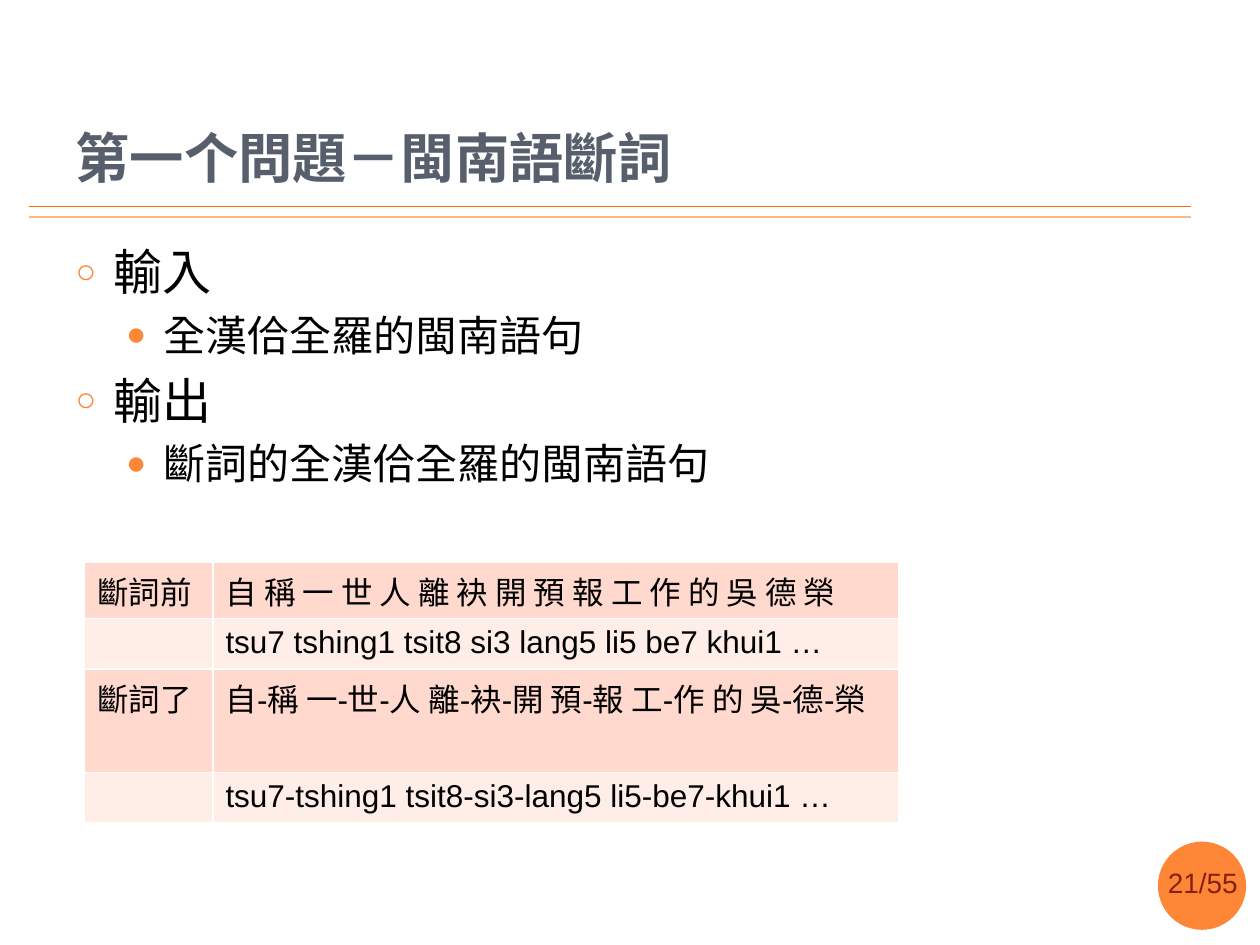
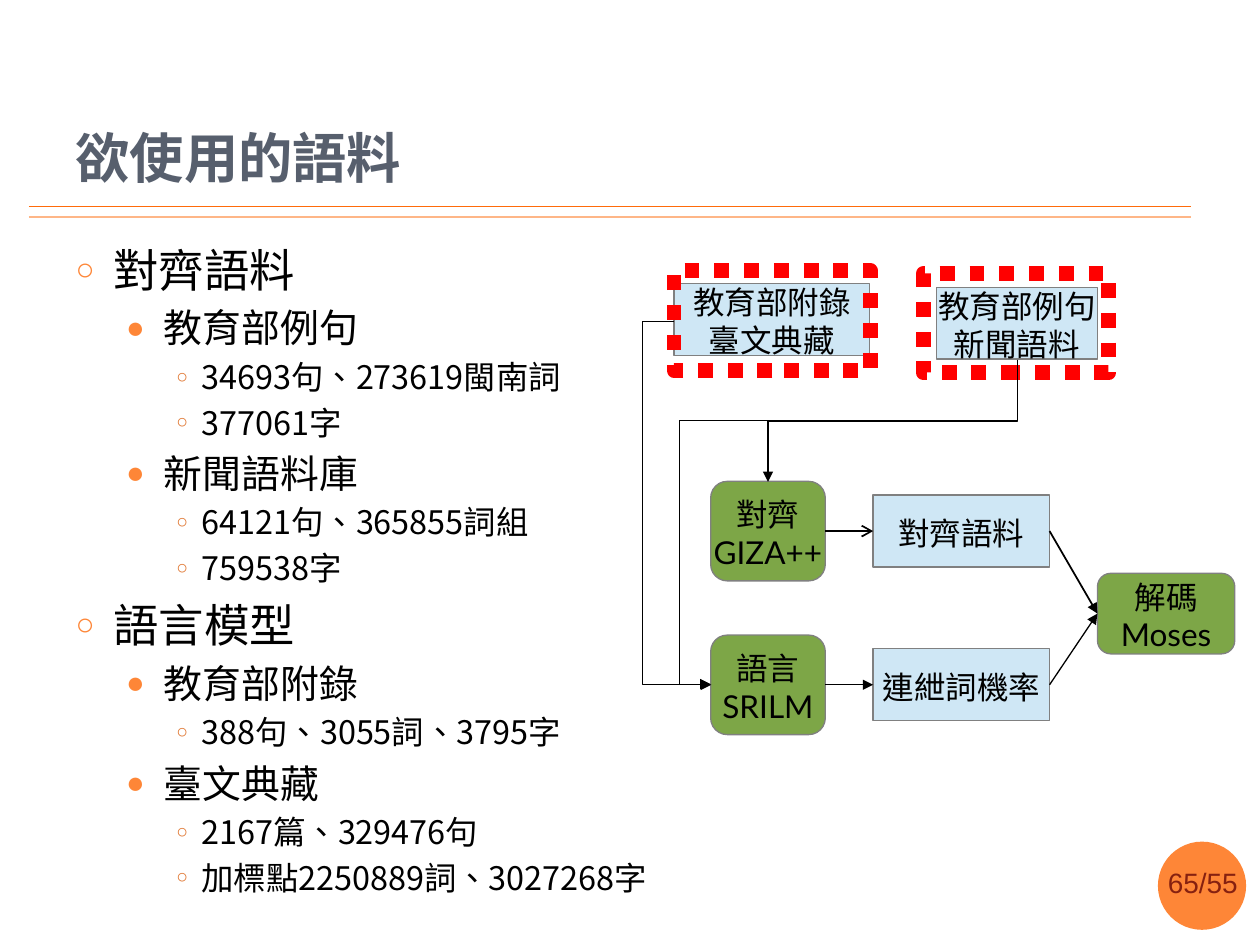
"""Build two slides on Southern Min word segmentation and its corpora."""
from lxml import etree
from pptx import Presentation
from pptx.dml.color import RGBColor
from pptx.enum.dml import MSO_LINE
from pptx.enum.lang import MSO_LANGUAGE_ID
from pptx.enum.shapes import MSO_CONNECTOR, MSO_SHAPE
from pptx.enum.text import MSO_ANCHOR, MSO_AUTO_SIZE, PP_ALIGN
from pptx.oxml.ns import qn
from pptx.util import Inches, Pt

ORANGE = RGBColor(0xFE, 0x86, 0x37)
DEEP_ORANGE = RGBColor(0xFF, 0x6B, 0x0A)
PALE_ORANGE = RGBColor(0xFE, 0xB6, 0x87)
DARK_ORANGE = RGBColor(0xE0, 0x75, 0x2F)
MAROON = RGBColor(0x86, 0x21, 0x10)
SLATE = RGBColor(0x57, 0x5F, 0x6D)
BLACK = RGBColor(0, 0, 0)
GRAY = RGBColor(0x80, 0x80, 0x80)
RED = RGBColor(0xFF, 0, 0)
BLUE = RGBColor(0xCF, 0xE7, 0xF5)
GREEN = RGBColor(0x7D, 0xA6, 0x47)
PINK = RGBColor(0xFF, 0xD9, 0xCE)
PALE_PINK = RGBColor(0xFF, 0xED, 0xE8)
CJK_FONT = "Noto Sans CJK SC"

TITLE_FORMAT = {"name": "Montserrat", "size": Pt(31), "bold": True}
PAGE_FORMAT = {"name": "Arial", "size": Pt(16)}
TABLE_FORMAT = {"name": "Arial", "size": Pt(18)}
BOX_FORMAT = {"name": "Lato", "size": Pt(18)}
BOX_MARGINS = {"margin_left": Inches(0.09), "margin_top": Inches(0.07),
               "margin_right": Inches(0.09), "margin_bottom": Inches(0.04)}
LEVELS = [
    {"size": 28, "left": 0.3, "hanging": 0.3, "bullet": "○", "color": ORANGE, "percent": 70},
    {"size": 24, "left": 0.7, "hanging": 0.3, "bullet": "●", "color": ORANGE, "percent": 80},
    {"size": 20, "left": 1.0, "hanging": 0.2, "bullet": "○", "color": DARK_ORANGE, "percent": 60},
]

PAGES = [
    {"title": "第一个問題－閩南語斷詞", "number": "21/55", "scale": 1, "list": [
        (0, "輸入"), (1, "全漢佮全羅的閩南語句"),
        (0, "輸出"), (1, "斷詞的全漢佮全羅的閩南語句")]},
    {"title": "欲使用的語料", "number": "65/55", "scale": 0.925, "list": [
        (0, "對齊語料"),
        (1, "教育部例句"), (2, "34693句、273619閩南詞"), (2, "377061字"),
        (1, "新聞語料庫"), (2, "64121句、365855詞組"), (2, "759538字"),
        (0, "語言模型"),
        (1, "教育部附錄"), (2, "388句、3055詞、3795字"),
        (1, "臺文典藏"), (2, "2167篇、329476句"),
        (2, "加標點2250889詞、3027268字")]},
]


def write_text(paragraph, text, values, color, east_asian):
    run = paragraph.add_run()
    run.text = text
    for name, value in values.items():
        setattr(run.font, name, value)
    run.font.language_id = MSO_LANGUAGE_ID.TRADITIONAL_CHINESE
    run.font.color.rgb = color
    latin = run.font._element.find(qn("a:latin"))
    latin.addnext(latin.makeelement(qn("a:ea"), {"typeface": east_asian}))


def add_line(slide, kind, points, color, width, arrow=None):
    connector = slide.shapes.add_connector(kind, *(Inches(value) for value in points))
    connector.line.color.rgb = color
    connector.line.width = Pt(width)
    etree.SubElement(connector._element.spPr, qn("a:effectLst"))
    if arrow:
        etree.SubElement(connector.line._get_or_add_ln(), qn("a:tailEnd"), type=arrow)
    return connector


presentation = Presentation()
presentation.slide_width = Inches(10)
presentation.slide_height = Inches(7.5)

slides = []
for page in PAGES:
    slide = presentation.slides.add_slide(presentation.slide_layouts[1])
    slides.append(slide)
    for height, color in ((1.64, DEEP_ORANGE), (1.72, PALE_ORANGE)):
        add_line(slide, MSO_CONNECTOR.STRAIGHT, (0.23, height, 9.45, height), color, 1)

    disc = slide.shapes.add_shape(MSO_SHAPE.OVAL, Inches(9.19), Inches(6.68),
                                  Inches(0.7), Inches(0.7))
    disc.shadow.inherit = False
    disc.fill.solid()
    disc.fill.fore_color.rgb = ORANGE
    disc.line.fill.background()
    number = slide.shapes.add_textbox(Inches(9.17), Inches(6.82), Inches(0.79), Inches(0.37))
    number.text_frame.word_wrap = False
    write_text(number.text_frame.paragraphs[0], page["number"], PAGE_FORMAT, MAROON, CJK_FONT)

    title, body = slide.placeholders
    title.left, title.top, title.width, title.height = map(Inches, (0.5, 0.3, 8.64, 1.25))
    title.text_frame.vertical_anchor = MSO_ANCHOR.BOTTOM
    title.text_frame.auto_size = MSO_AUTO_SIZE.NONE
    paragraph = title.text_frame.paragraphs[0]
    paragraph.alignment = PP_ALIGN.LEFT
    write_text(paragraph, page["title"], TITLE_FORMAT, SLATE, "Montserrat")

    body.left, body.top, body.width, body.height = map(Inches, (0.5, 1.87, 8.17, 5.21))
    frame = body.text_frame
    frame.auto_size = MSO_AUTO_SIZE.NONE
    for index, (level, text) in enumerate(page["list"]):
        style = LEVELS[level]
        size = round(style["size"] * page["scale"], 1)
        paragraph = frame.add_paragraph() if index else frame.paragraphs[0]
        paragraph.level = level
        paragraph.space_before = Pt((0.2 * size if level else 6) if index else 0)
        properties = paragraph._p.get_or_add_pPr()
        properties.set("marL", str(Inches(style["left"])))
        properties.set("indent", str(-Inches(style["hanging"])))
        bullet_color = etree.SubElement(properties, qn("a:buClr"))
        etree.SubElement(bullet_color, qn("a:srgbClr"), val=str(style["color"]))
        etree.SubElement(properties, qn("a:buSzPct"), val=str(style["percent"] * 1000))
        etree.SubElement(properties, qn("a:buChar"), char=style["bullet"])
        write_text(paragraph, text, {"name": CJK_FONT, "size": Pt(size)}, BLACK, CJK_FONT)

segmentation_slide, corpus_slide = slides

ROWS = [
    (0.45, "斷詞前", "自 稱 一 世 人 離 袂 開 預 報 工 作 的 吳 德 榮"),
    (0.39, "", "tsu7 tshing1 tsit8 si3 lang5 li5 be7 khui1 …"),
    (0.82, "斷詞了", "自-稱 一-世-人 離-袂-開 預-報 工-作 的 吳-德-榮"),
    (0.4, "", "tsu7-tshing1 tsit8-si3-lang5 li5-be7-khui1 …"),
]
table = segmentation_slide.shapes.add_table(
    len(ROWS), 2, Inches(0.67), Inches(4.46), Inches(6.46), Inches(2.06)).table
table.first_row = table.horz_banding = False
table.columns[0].width = Inches(1.02)
table.columns[1].width = Inches(5.44)
for row_index, (height, *texts) in enumerate(ROWS):
    table.rows[row_index].height = Inches(height)
    for column_index, text in enumerate(texts):
        cell = table.cell(row_index, column_index)
        cell.fill.solid()
        cell.fill.fore_color.rgb = PALE_PINK if row_index % 2 else PINK
        if text:
            write_text(cell.text_frame.paragraphs[0], text, TABLE_FORMAT, BLACK, CJK_FONT)

DATA, TOOL = MSO_SHAPE.FLOWCHART_PROCESS, MSO_SHAPE.FLOWCHART_ALTERNATE_PROCESS
BOXES = {
    "parallel sources": (DATA, (7.43, 2.28, 1.28, 0.57), ["教育部例句", "新聞語料"]),
    "language sources": (DATA, (5.35, 2.25, 1.55, 0.57), ["教育部附錄", "臺文典藏"]),
    "aligner": (TOOL, (5.64, 3.82, 0.91, 0.79), ["對齊", "GIZA++"]),
    "language tool": (TOOL, (5.64, 5.04, 0.91, 0.79), ["語言", "SRILM"]),
    "aligned corpus": (DATA, (6.93, 3.93, 1.4, 0.57), ["對齊語料"]),
    "probabilities": (DATA, (6.93, 5.15, 1.4, 0.57), ["連紲詞機率"]),
    "decoder": (TOOL, (8.71, 4.55, 1.09, 0.64), ["解碼", "Moses"]),
}
boxes = {}
for name, (kind, place, lines) in BOXES.items():
    box = boxes[name] = corpus_slide.shapes.add_shape(kind, *map(Inches, place))
    box.shadow.inherit = False
    box.fill.solid()
    box.fill.fore_color.rgb = BLUE if kind == DATA else GREEN
    box.line.color.rgb = GRAY
    box.line.width = Pt(0.75)
    frame = box.text_frame
    frame.word_wrap = False
    frame.vertical_anchor = MSO_ANCHOR.MIDDLE
    for margin, value in BOX_MARGINS.items():
        setattr(frame, margin, value)
    for index, text in enumerate(lines):
        paragraph = frame.add_paragraph() if index else frame.paragraphs[0]
        paragraph.alignment = PP_ALIGN.CENTER
        write_text(paragraph, text, BOX_FORMAT, BLACK, "Lato")

for place in ((7.33, 2.17, 1.47, 0.79), (5.35, 2.15, 1.56, 0.79)):
    highlight = corpus_slide.shapes.add_shape(MSO_SHAPE.RECTANGLE, *map(Inches, place))
    highlight.shadow.inherit = False
    highlight.fill.background()
    highlight.line.color.rgb = RED
    highlight.line.width = Pt(8.5)
    highlight.line.dash_style = MSO_LINE.ROUND_DOT

ELBOWS = [
    ((5.57, 2.93, 8.15, 5.36), 90, 0.75, "bentConnector4", (0.186, 1.103)),
    ((5.35, 2.55, 5.64, 5.43), 0, 0.75, "bentConnector3", (-0.859,)),
    ((6.6, 2.35, 7.57, 4.33), 90, 1, "bentConnector3", (0.5,)),
]
for points, rotation, width, preset, adjustments in ELBOWS:
    elbow = add_line(corpus_slide, MSO_CONNECTOR.ELBOW, points, BLACK, width, "triangle")
    properties = elbow._element.spPr
    properties.find(qn("a:xfrm")).set("rot", str(rotation * 60000))
    geometry = properties.find(qn("a:prstGeom"))
    geometry.set("prst", preset)
    guides = geometry.find(qn("a:avLst"))
    for index, value in enumerate(adjustments, 1):
        etree.SubElement(guides, qn("a:gd"), name=f"adj{index}",
                         fmla=f"val {round(value * 100000)}")

ARROWS = [
    ("aligner", "aligned corpus", 1, "arrow"),
    ("language tool", "probabilities", 0.75, "triangle"),
    ("aligned corpus", "decoder", 1, "triangle"),
    ("probabilities", "decoder", 0.75, "triangle"),
]
for source, target, width, head in ARROWS:
    arrow = add_line(corpus_slide, MSO_CONNECTOR.STRAIGHT, (0, 0, 1, 1), BLACK, width, head)
    arrow.begin_connect(boxes[source], 3)
    arrow.end_connect(boxes[target], 1)

presentation.save("out.pptx")
